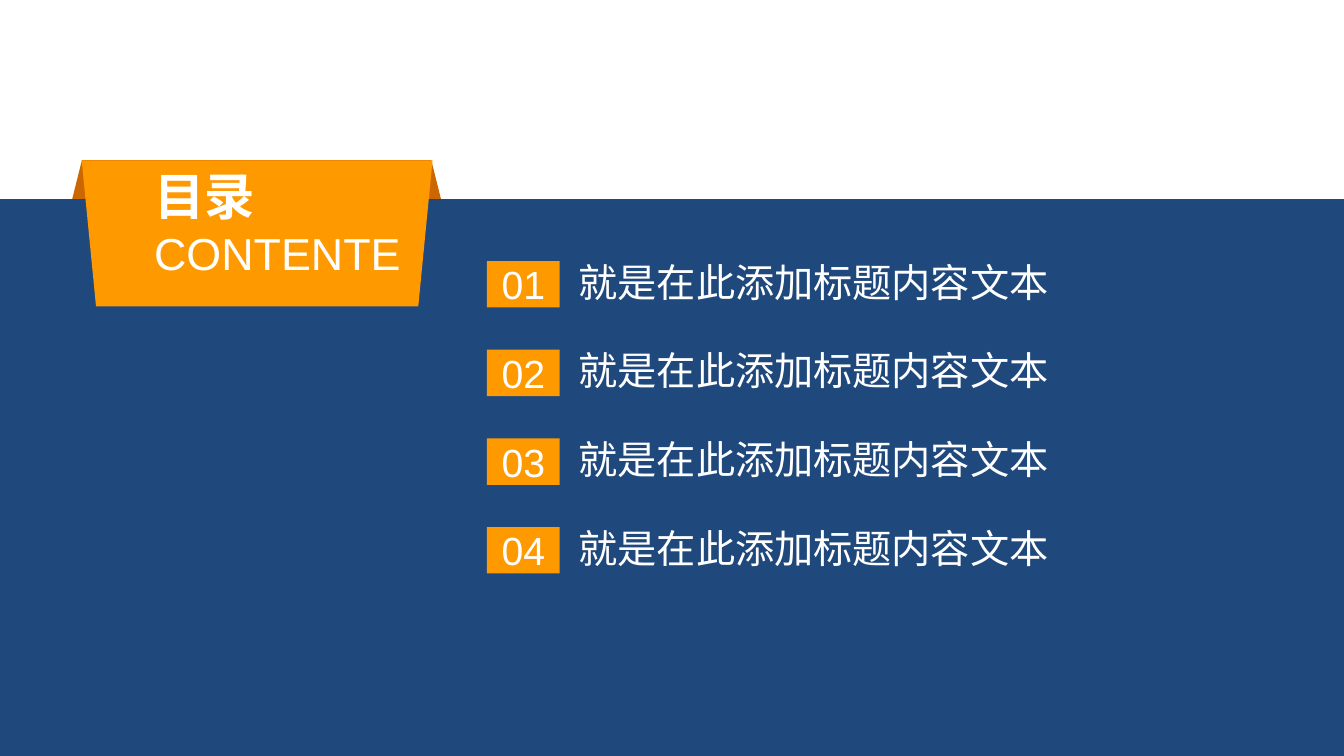
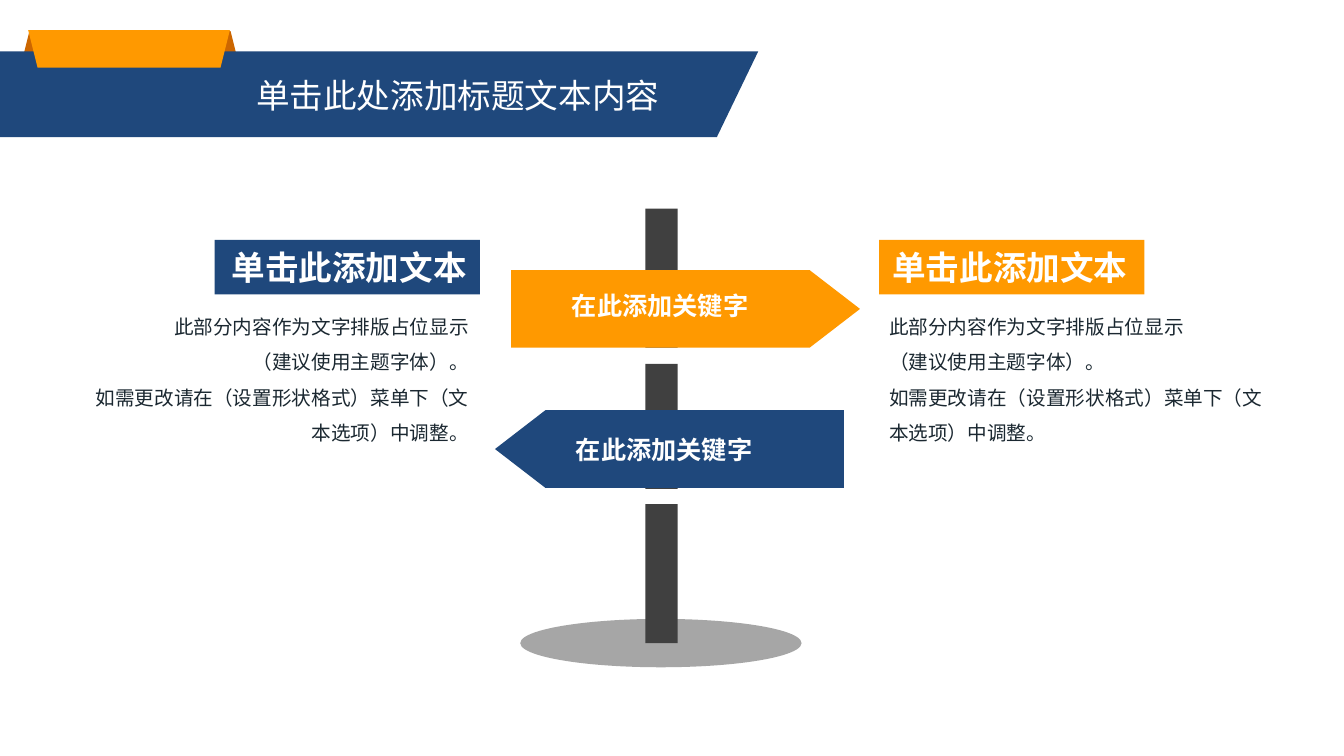
from lxml import etree
from pptx import Presentation
from pptx import util as u
from pptx.dml.color import RGBColor
from pptx.enum import shapes, text
from pptx.oxml.ns import qn

# Shared style
FONT = "Arial"
BLUE, ORANGE, FOLD = "1F487C", "FF9900", "CC6600"
WHITE, INK, POST, BASE = "FFFFFF", "1B2831", "404040", "A6A6A6"
SLIDE_WIDTH, SLIDE_HEIGHT = 13.33, 7.5
SHAPE = shapes.MSO_SHAPE
LEFT, CENTER, RIGHT = text.PP_ALIGN.LEFT, text.PP_ALIGN.CENTER, text.PP_ALIGN.RIGHT
WIDE_INSETS = (0.13, 0.07)
NORMAL_INSETS = (0.1, 0.05)

# Slide wording
CONTENTS_ENTRY = "就是在此添加标题内容文本"
CARD_HEADING = "单击此添加文本"
CARD_BODY = ["此部分内容作为文字排版占位显示\v（建议使用主题字体）。",
             "如需更改请在（设置形状格式）菜单下（文本选项）中调整。"]
KEYWORD = "在此添加关键字"


def colour(value):
    return RGBColor.from_string(value)


def paint(shape, fill):
    shape.shadow.inherit = False
    shape.fill.solid()
    shape.fill.fore_color.rgb = colour(fill)
    shape.line.fill.background()
    return shape


def add_block(slide, kind, box, fill):
    return paint(slide.shapes.add_shape(kind, *map(u.Inches, box)), fill)


def add_outline(slide, points, fill):
    corners = [(u.Inches(x), u.Inches(y)) for x, y in points]
    builder = slide.shapes.build_freeform(*corners[0])
    builder.add_line_segments(corners[1:], close=True)
    return paint(builder.convert_to_shape(), fill)


def format_paragraph(paragraph, size, color=WHITE, bold=False, align=LEFT, spacing=None):
    paragraph.alignment = align
    if spacing:
        paragraph.line_spacing = spacing
    for run in paragraph.runs:
        run.font.name = FONT
        run.font.size = u.Pt(size)
        run.font.bold = bold
        run.font.color.rgb = colour(color)
    # A line break carries its own size
    for line_break in paragraph._p.findall(qn("a:br")):
        etree.SubElement(line_break, qn("a:rPr"), sz=str(size * 100))


def write(shape, lines, size, wrap=False, insets=NORMAL_INSETS, anchor=text.MSO_ANCHOR.TOP,
          grow=True, **style):
    frame = shape.text_frame
    frame.word_wrap = wrap
    frame.vertical_anchor = anchor
    frame.margin_left = frame.margin_right = u.Inches(insets[0])
    frame.margin_top = frame.margin_bottom = u.Inches(insets[1])
    if grow:
        frame.auto_size = text.MSO_AUTO_SIZE.SHAPE_TO_FIT_TEXT
    frame.text = "\n".join(lines)
    for paragraph in frame.paragraphs:
        format_paragraph(paragraph, size, **style)
    return frame


def add_text(slide, box, lines, size, **style):
    textbox = slide.shapes.add_textbox(*map(u.Inches, box))
    return write(textbox, lines, size, **style)


def add_ribbon(slide, fold_box, band_points, front_box, taper=0.25):
    """A blue band held between the folded back and the front of an orange ribbon."""
    add_block(slide, SHAPE.TRAPEZOID, fold_box, FOLD)
    add_outline(slide, band_points, BLUE)
    front = add_block(slide, SHAPE.TRAPEZOID, front_box, ORANGE)
    front.adjustments[0] = taper
    front.rotation = 180


def add_contents_row(slide, number, top):
    add_text(slide, (5.64, top, 4.91, 0.57), [CONTENTS_ENTRY], 28)
    tag = add_block(slide, SHAPE.RECTANGLE, (4.83, top + 0.08, 0.72, 0.46), ORANGE)
    write(tag, [f"{number:02d}"], 28, wrap=True, anchor=text.MSO_ANCHOR.MIDDLE,
          grow=False, align=CENTER)


def add_sign(slide, tip, top, direction, fill):
    """An arrow sign; direction is 1 for right and -1 for left."""
    neck, tail = tip - 0.5 * direction, tip - 3.46 * direction
    bottom = top + 0.77
    add_outline(slide, [(tip, top + 0.385), (neck, bottom), (tail, bottom),
                        (tail, top), (neck, top)], fill)


def add_card(slide, heading_left, body_left, fill, align):
    heading = add_block(slide, SHAPE.RECTANGLE, (heading_left, 2.38, 2.63, 0.54), fill)
    write(heading, [CARD_HEADING], 24, insets=WIDE_INSETS, bold=True, align=align)
    add_text(slide, (body_left, 2.96, 4, 1.51), CARD_BODY, 14, wrap=True,
             color=INK, align=align, spacing=1.5)


def build_contents(slide):
    band_top = 1.97
    add_ribbon(slide, (0.62, 1.59, 3.85, 0.77),
               [(0, band_top), (SLIDE_WIDTH, band_top),
                (SLIDE_WIDTH, SLIDE_HEIGHT), (0, SLIDE_HEIGHT)],
               (0.81, 1.59, 3.48, 1.45), taper=0.098)
    for index in range(4):
        add_contents_row(slide, index + 1, 2.51 + 0.88 * index)
    title = add_text(slide, (1.43, 1.59, 2.86, 1.25), ["目录", "CONTENTE"], 32, wrap=True)
    format_paragraph(title.paragraphs[0], 36, bold=True)


def build_signpost(slide):
    # Title band
    add_ribbon(slide, (0.16, 0.31, 2.26, 0.53),
               [(0, 0.51), (7.52, 0.51), (7.11, 1.36), (0, 1.36)],
               (0.28, 0.3, 2, 0.37))
    add_text(slide, (2.41, 0.67, 4.31, 0.54), ["单击此处添加标题文本内容"], 24,
             insets=WIDE_INSETS)

    # Signpost
    add_block(slide, SHAPE.OVAL, (5.16, 6.14, 2.79, 0.48), BASE)
    for top, height in ((2.07, 1.38), (3.61, 1.24), (5, 1.38)):
        add_block(slide, SHAPE.RECTANGLE, (6.4, top, 0.32, height), POST)
    add_sign(slide, 4.91, 4.07, -1, BLUE)
    add_sign(slide, 8.53, 2.68, 1, ORANGE)

    # Cards and sign labels
    add_card(slide, 8.72, 8.72, ORANGE, LEFT)
    add_card(slide, 2.13, 0.75, BLUE, RIGHT)
    for left, top in ((5.55, 2.83), (5.59, 4.26)):
        add_text(slide, (left, top, 1.97, 0.4), [KEYWORD], 18, bold=True, align=RIGHT)


def main():
    presentation = Presentation()
    presentation.slide_width = u.Inches(SLIDE_WIDTH)
    presentation.slide_height = u.Inches(SLIDE_HEIGHT)
    blank = presentation.slide_layouts[6]
    for build in (build_contents, build_signpost):
        build(presentation.slides.add_slide(blank))
    presentation.save("out.pptx")


if __name__ == "__main__":
    main()
